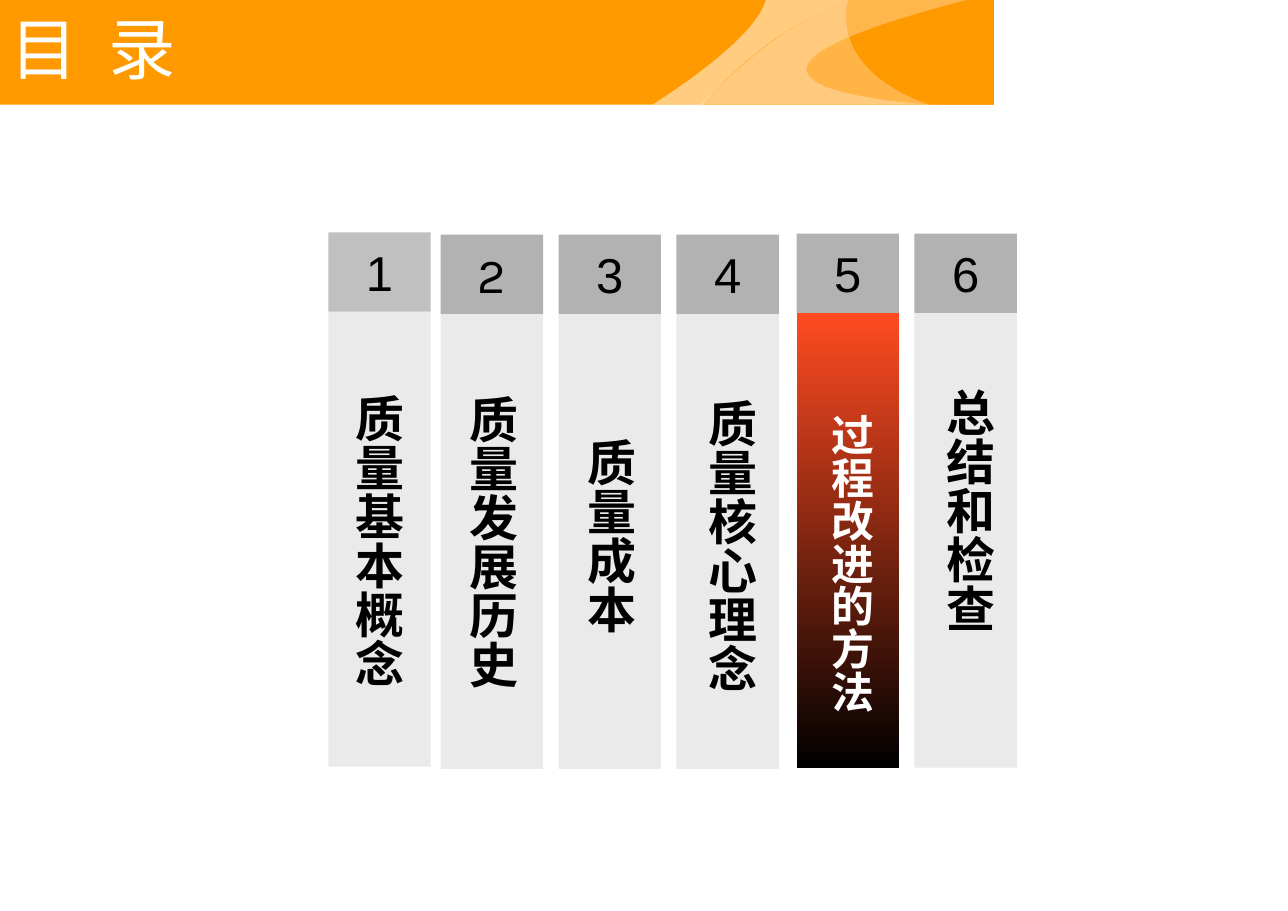
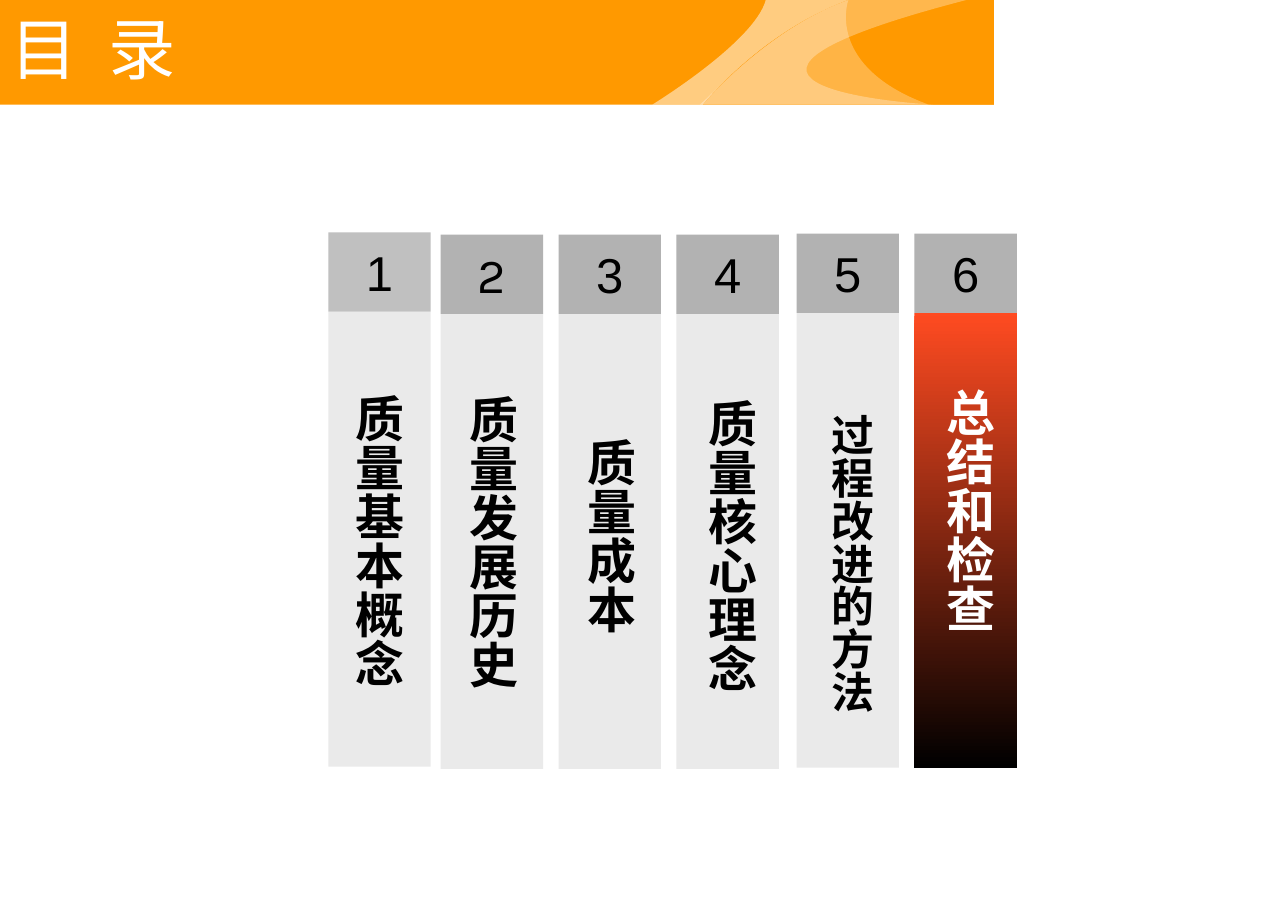
from dataclasses import dataclass

from lxml import etree
from pptx import Presentation
from pptx.dml.color import RGBColor
from pptx.enum.shapes import MSO_SHAPE
from pptx.enum.text import MSO_ANCHOR, PP_ALIGN
from pptx.oxml.ns import qn
from pptx.util import Pt

PX = 9144  # 100 px to the inch
RECT = MSO_SHAPE.RECTANGLE
MIDDLE = MSO_ANCHOR.MIDDLE
LEFT, CENTER = PP_ALIGN.LEFT, PP_ALIGN.CENTER


@dataclass(frozen=True)
class Theme:
    band: str = "FF9900"
    white: str = "FFFFFF"
    black: str = "000000"
    first: str = "C0C0C0"
    head: str = "B2B2B2"
    body: str = "EAEAEA"
    glow: str = "FF4B21"
    font: str = "Arial"
    round: str = "Karla"
    asian: str = "Noto Sans CJK SC"
    title: int = 44
    large: int = 32
    small: int = 28


@dataclass(frozen=True)
class Topic:
    text: str
    left: int
    top: int
    inset: int
    height: int
    size: int = Theme.large
    font: str = Theme.font
    head: str = Theme.head


T = Theme()
PAGE = (1169, 827)
BAND = (0, 0, 902, 95)
TITLE = (0, 0, 845, 87)
WIDTH, HEAD, BODY = 93, 72, 413

TOPICS = (
    Topic("质量基本概念", 298, 211, 14, 397, head=T.first),
    Topic("质量发展历史", 400, 213, 16, 395, font=T.round),
    Topic("质量成本", 507, 213, 16, 384),
    Topic("质量核心理念", 614, 213, 19, 401),
    Topic("过程改进的方法", 723, 212, 22, 436, T.small),
    Topic("总结和检查", 830, 212, 19, 339),
)

# Each wave: colour, opacity in percent, start, then line ends (2) or curves (6)
WAVES = (
    (T.white, 50, (770, 0), [(770, 0, 733, 0, 695, 0), (685, 38, 592, 95, 592, 95),
                             (638, 95), (638, 95, 691, 29, 770, 0)]),
    (T.band, 100, (902, 0), [(770, 0), (691, 29, 638, 95, 638, 95), (902, 95)]),
    (T.white, 30, (877, 0), [(569, 80, 847, 95, 847, 95), (635, 95),
                             (647, 86, 698, 26, 770, 0)]),
    (T.white, 27, (770, 0), [(724, 16, 674, 54, 638, 95), (843, 95),
                             (758, 64, 766, 12, 770, 0)]),
)


def emu(*box):
    return [round(v * PX) for v in box]


def paint(shape, color, opacity=100):
    shape.shadow.inherit = False
    shape.line.fill.background()
    shape.fill.solid()
    shape.fill.fore_color.rgb = RGBColor.from_string(color)
    if opacity < 100:
        tone = shape._element.spPr.find(".//" + qn("a:srgbClr"))
        etree.SubElement(tone, qn("a:alpha")).set("val", str(opacity * 1000))


def block(shapes, box, color):
    shape = shapes.add_shape(RECT, *emu(*box))
    paint(shape, color)
    return shape


def write(shape, text, size, color, font=T.font, bold=False, align=CENTER,
          pads=(10, 5), wrap=True, tab=None):
    frame = shape.text_frame
    frame.word_wrap = wrap
    frame.vertical_anchor = MIDDLE
    frame.margin_left = frame.margin_right = pads[0] * PX
    frame.margin_top = frame.margin_bottom = pads[1] * PX
    par = frame.paragraphs[0]
    par.text = text
    par.alignment = align
    props = par._p.get_or_add_pPr()
    if tab:
        stops = etree.SubElement(props, qn("a:tabLst"))
        etree.SubElement(stops, qn("a:tab"), pos=str(tab * PX), algn="l")
    par.font.size = Pt(size)
    par.font.bold = bold
    par.font.color.rgb = RGBColor.from_string(color)
    par.font.name = font
    etree.SubElement(props.find(qn("a:defRPr")), qn("a:ea"), typeface=T.asian)
    return frame


def bend(shape, moves):
    """Turn each three line ends that stand for a curve into one cubic curve."""
    lines = iter(list(shape._element.spPr.iter(qn("a:lnTo"))))
    for move in moves:
        line = next(lines)
        if len(move) == 6:
            line.addprevious(cubic := etree.Element(qn("a:cubicBezTo")))
            for part in (line, next(lines), next(lines)):
                cubic.append(part[0])
                part.getparent().remove(part)


def wave(shapes, box, color, opacity, start, moves):
    points = [start]
    for move in moves:
        points += zip(move[::2], move[1::2])
    spots = [emu(box[0] + x, box[1] + y) for x, y in points]
    pen = shapes.build_freeform(*spots[0], scale=1.0)
    pen.add_line_segments(spots[1:], close=True)
    shape = pen.convert_to_shape()
    bend(shape, moves)
    paint(shape, color, opacity)


def banner(slide, box):
    group = slide.shapes.add_group_shape().shapes
    block(group, box, T.band)
    for item in WAVES:
        wave(group, box, *item)


def heading(slide, box, text):
    write(slide.shapes.add_textbox(*emu(*box)), text, T.title, T.white,
          font=T.asian, align=LEFT, tab=89)


def label(slide, box, topic, color):
    """Write the topic downwards, centred along the height of the box."""
    frame = write(slide.shapes.add_textbox(*emu(*box)), topic.text, topic.size,
                  color, bold=True, align=LEFT, pads=(6, 4))
    frame._txBody.bodyPr.set("vert", "eaVert")
    length = len(topic.text) * Pt(topic.size)
    frame.margin_top = (box[3] * PX - length) // 2


def column(slide, box, number, topic, active):
    """Draw a numbered head above a body with a vertical label."""
    left, top, width, height = box
    body = block(slide.shapes, (left, top + HEAD, width, height - HEAD), T.body)
    if active:
        body.fill.gradient()
        body.fill.gradient_angle = 270
        for stop, color in zip(body.fill.gradient_stops, (T.glow, T.black)):
            stop.color.rgb = RGBColor.from_string(color)
    head = block(slide.shapes, (left, top, width, HEAD), topic.head)
    write(head, str(number), T.large, T.black, topic.font, pads=(11, 6), wrap=False)
    wide = 62 if topic.size == T.large else 56
    label(slide, (left + topic.inset, top + HEAD + 10, wide, topic.height),
          topic, T.white if active else T.black)


def agenda(deck, active):
    slide = deck.slides.add_slide(deck.slide_layouts[6])
    banner(slide, BAND)
    heading(slide, TITLE, "目\t录")
    for number, topic in enumerate(TOPICS, 1):
        box = (topic.left, topic.top, WIDTH, HEAD + BODY)
        column(slide, box, number, topic, number == active)


def main():
    deck = Presentation()
    deck.slide_width, deck.slide_height = emu(*PAGE)
    for active in (5, 6):
        agenda(deck, active)
    deck.save("out.pptx")


if __name__ == "__main__":
    main()
